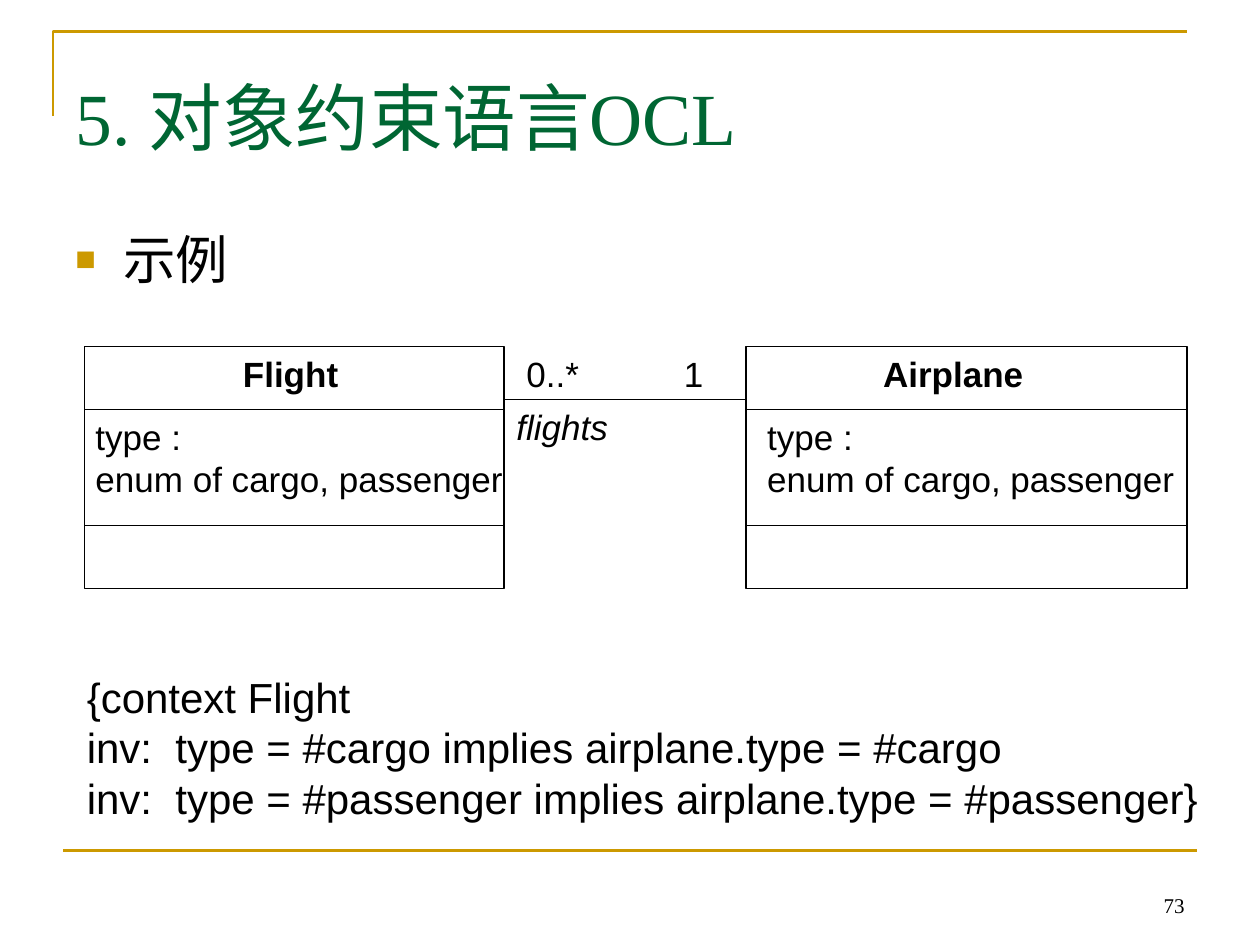
"""Builds the OCL example slide with two associated UML classes."""
from lxml.etree import SubElement
from pptx import Presentation
from pptx.dml.color import RGBColor
from pptx.enum.shapes import MSO_CONNECTOR as Connector, MSO_SHAPE as Shape
from pptx.enum.text import MSO_ANCHOR as Anchor, PP_ALIGN as Align
from pptx.oxml.ns import qn
from pptx.util import Inches, Pt

BLACK, GOLD, GREEN = "000000", "CC9900", "006633"
ATTRIBUTES = ["type :", "enum of cargo, passenger"]
CLASS_TOP, CLASS_HEIGHT = 2.75, 1.92
DIVIDERS = (3.25, 4.17)
LINK_Y = 3.17

CLASSES = [
    {"name": "Flight", "left": 0.67, "width": 3.33,
     "name_box": (1.83, 0.96), "attributes_left": 0.66},
    {"name": "Airplane", "left": 5.92, "width": 3.5,
     "name_box": (6.91, 1.32), "attributes_left": 5.99},
]
LINK_LABELS = [
    ("0..*", (4.08, CLASS_TOP, 0.62, 0.43), {}),
    ("1", (5.33, CLASS_TOP, 0.36, 0.43), {}),
    ("flights", (4, LINK_Y, 0.93, 0.43), {"italic": True}),
]
CONSTRAINT = [
    "{context Flight",
    "inv:  type = #cargo implies airplane.type = #cargo",
    "inv:  type = #passenger implies airplane.type = #passenger}",
]


def color(value):
    return RGBColor.from_string(value)


def outline(shape, stroke, width):
    shape.line.color.rgb = color(stroke)
    shape.line.width = Pt(width)


def add_line(slide, start, end, stroke=BLACK, width=1):
    line = slide.shapes.add_connector(
        Connector.STRAIGHT, *map(Inches, (*start, *end)))
    outline(line, stroke, width)
    SubElement(line._element.spPr, qn("a:effectLst"))


def add_text(slide, lines, box, size=20, fill=BLACK, font="Arial",
             wrap=False, anchor=Anchor.TOP, align=Align.LEFT, **style):
    frame = slide.shapes.add_textbox(*map(Inches, box)).text_frame
    frame.word_wrap = wrap
    frame.vertical_anchor = anchor
    frame.text = "\n".join(lines)
    for paragraph in frame.paragraphs:
        paragraph.alignment = align
        for run in paragraph.runs:
            run.font.color.rgb = color(fill)
            for key, value in {"size": Pt(size), "name": font, **style}.items():
                setattr(run.font, key, value)
    return frame


def add_bullet(paragraph, indent):
    paragraph.space_before = Pt(7.5)
    props = paragraph._p.get_or_add_pPr()
    props.set("marL", str(Inches(indent)))
    props.set("indent", str(-Inches(indent)))
    tint = SubElement(props, qn("a:buClr"))
    SubElement(tint, qn("a:srgbClr"), val=GOLD)
    SubElement(props, qn("a:buSzPct"), val="65000")
    SubElement(props, qn("a:buFont"), typeface="Arial")
    SubElement(props, qn("a:buChar"), char="■")


def add_frame(slide):
    builder = slide.shapes.build_freeform(Inches(0.42), Inches(0.92), scale=1.0)
    corner = [(Inches(x), Inches(y)) for x, y in ((0.42, 0.25), (9.42, 0.25))]
    builder.add_line_segments(corner, close=False)
    bracket = builder.convert_to_shape()
    bracket.fill.background()
    bracket.shadow.inherit = False
    outline(bracket, GOLD, 1.5)
    add_line(slide, (0.5, 6.75), (9.5, 6.75), GOLD, 1.5)


def add_class(slide, name, left, width, name_box, attributes_left):
    body = slide.shapes.add_shape(
        Shape.RECTANGLE, *map(Inches, (left, CLASS_TOP, width, CLASS_HEIGHT)))
    body.fill.background()
    body.shadow.inherit = False
    outline(body, BLACK, 1)
    for y in DIVIDERS:
        add_line(slide, (left, y), (left + width, y))
    name_left, name_width = name_box
    add_text(slide, [name], (name_left, CLASS_TOP, name_width, 0.43), bold=True)
    add_text(slide, ATTRIBUTES, (attributes_left, DIVIDERS[0], 3.44, 0.77))


def main():
    deck = Presentation()
    deck.slide_width, deck.slide_height = Inches(10), Inches(7.5)
    slide = deck.slides.add_slide(deck.slide_layouts[6])
    add_frame(slide)
    add_text(slide, ["73"], (7.17, 6.83, 2.33, 0.5), 12, font="Times New Roman",
             wrap=True, anchor=Anchor.BOTTOM, align=Align.RIGHT)
    add_text(slide, ["5. 对象约束语言OCL"], (0.5, 0.3, 9, 1.25), 42, GREEN,
             "Times New Roman", wrap=True, anchor=Anchor.MIDDLE)
    example = add_text(slide, ["示例"], (0.5, 1.75, 9, 4.95), 30, wrap=True)
    add_bullet(example.paragraphs[0], 0.38)
    add_text(slide, CONSTRAINT, (0.59, 5.28, 9.02, 1.3), 24)
    flight, airplane = CLASSES
    add_line(slide, (flight["left"] + flight["width"], LINK_Y),
             (airplane["left"], LINK_Y))
    for label, box, style in LINK_LABELS:
        add_text(slide, [label], box, **style)
    for entry in CLASSES:
        add_class(slide, **entry)
    deck.save("out.pptx")


if __name__ == "__main__":
    main()
